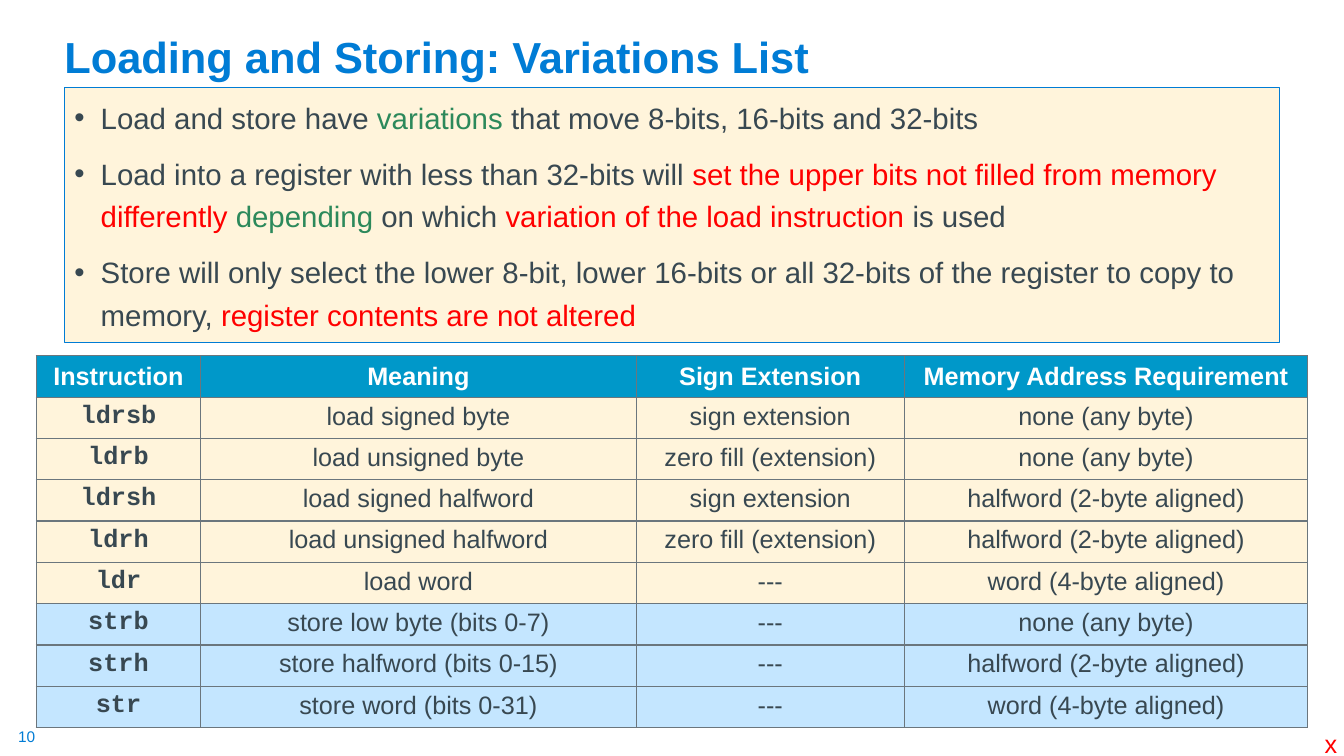
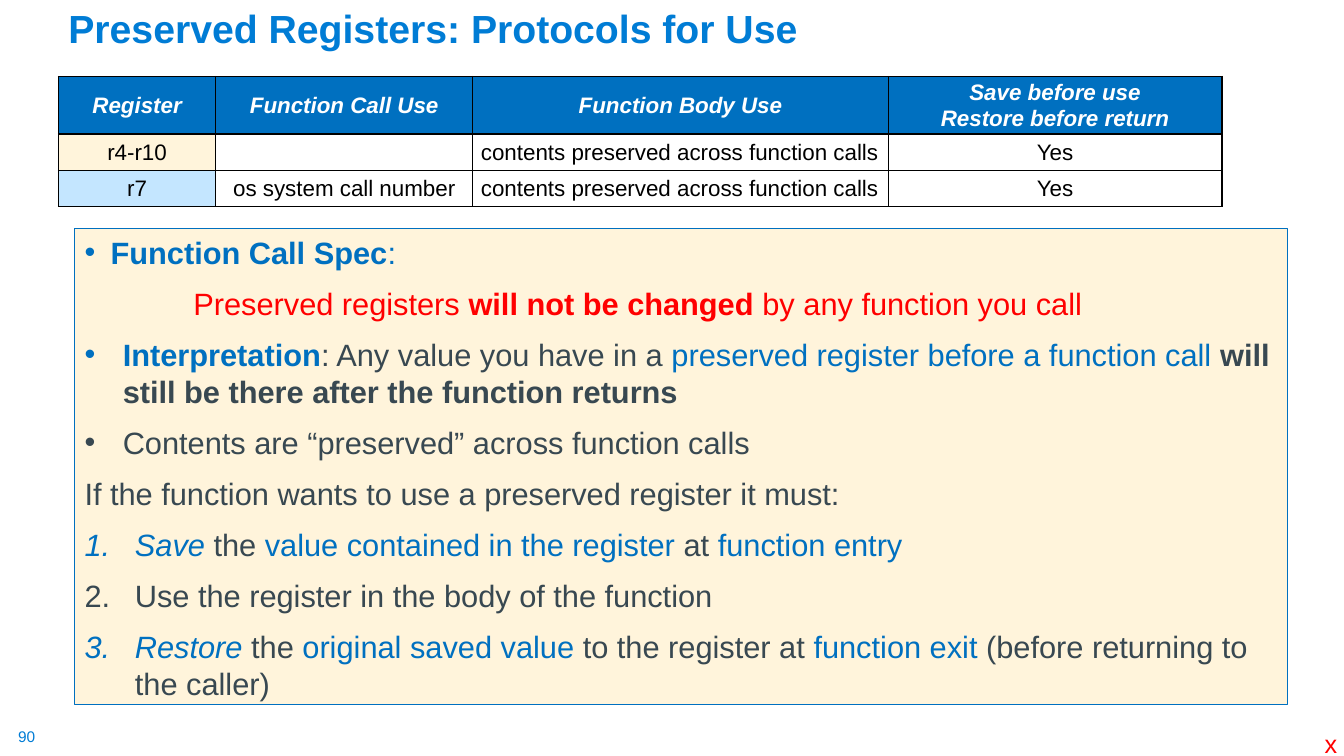
from lxml import etree
from pptx import Presentation
from pptx.dml.color import RGBColor
from pptx.enum import text as t
from pptx.oxml import ns
from pptx.util import Inches, Pt

TITLE_BLUE = RGBColor(0x00, 0x7C, 0xD5)
BLUE = RGBColor(0x00, 0x70, 0xC0)
TEAL = RGBColor(0x00, 0x98, 0xC9)
CREAM = RGBColor(0xFF, 0xF4, 0xDB)
SKY = RGBColor(0xC4, 0xE6, 0xFF)
SLATE = RGBColor(0x38, 0x48, 0x51)
GREY = RGBColor(0x6B, 0x76, 0x7D)
GREEN = RGBColor(0x2C, 0x89, 0x5B)
RED = RGBColor(0xFF, 0x00, 0x00)
WHITE = RGBColor(0xFF, 0xFF, 0xFF)
BLACK = RGBColor(0x00, 0x00, 0x00)
SANS, MONO = "Arial", "Courier New"
CENTER, LEFT = t.PP_ALIGN.CENTER, t.PP_ALIGN.LEFT

# Paragraph kinds: left margin, hanging indent, bullet tag, bullet attributes
DOT = ("a:buChar", {"char": "•"})
NUMBER = ("a:buAutoNum", {"type": "arabicPeriod"})
KINDS = {
    "bullet": (0.26, 0.26, DOT),
    "wide bullet": (0.38, 0.38, DOT),
    "number": (0.5, 0.5, NUMBER),
    "statement": (1.08, 0, None),
    "plain": (0, 0, None),
}

VARIATIONS = [
    ("bullet", [("Load and store have ", SLATE), ("variations", GREEN),
                (" that move 8-bits, 16-bits and 32-bits", SLATE)]),
    ("bullet", [("Load into a register with less than 32-bits will ", SLATE),
                ("set the upper bits not filled from memory differently", RED),
                (" depending ", GREEN), ("on which ", SLATE),
                ("variation of the load instruction ", RED), ("is used", SLATE)]),
    ("bullet", [("Store will only select the lower 8-bit, lower 16-bits or all 32-bits "
                 "of the register to copy to memory, ", SLATE),
                ("register contents are not altered", RED)]),
]

INSTRUCTIONS = [
    ("Instruction", "Meaning", "Sign Extension", "Memory Address Requirement"),
    ("ldrsb", "load signed byte", "sign extension", "none (any byte)"),
    ("ldrb", "load unsigned byte", "zero fill (extension)", "none (any byte)"),
    ("ldrsh", "load signed halfword", "sign extension", "halfword (2-byte aligned)"),
    ("ldrh", "load unsigned halfword", "zero fill (extension)", "halfword (2-byte aligned)"),
    ("ldr", "load word", "---", "word (4-byte aligned)"),
    ("strb", "store low byte (bits 0-7)", "---", "none (any byte)"),
    ("strh", "store halfword (bits 0-15)", "---", "halfword (2-byte aligned)"),
    ("str", "store word (bits 0-31)", "---", "word (4-byte aligned)"),
]

PROTOCOL = [
    ("bullet", [("Function Call Spec", BLUE, "b"), (":", BLUE)]),
    ("statement", [("Preserved registers ", RED), ("will not be changed ", RED, "b"),
                   ("by any function you call", RED)]),
    ("wide bullet", [("Interpretation", BLUE, "b"), (": Any value you have in a ", SLATE),
                     ("preserved register before a function call ", BLUE),
                     ("will still be there after the function returns", SLATE, "b")]),
    ("wide bullet", [("Contents are “preserved” across function calls", SLATE)]),
    ("plain", [("If the function wants to use a preserved register it must:", SLATE)]),
    ("number", [("Save", BLUE, "i"), (" the ", SLATE),
                ("value contained in the register ", BLUE), ("at ", SLATE),
                ("function entry", BLUE)]),
    ("number", [("Use the register in the body of the function", SLATE)]),
    ("number", [("Restore", BLUE, "i"), (" the ", SLATE), ("original saved value ", BLUE),
                ("to the register at ", SLATE), ("function exit ", BLUE),
                ("(before returning to the caller)", SLATE)]),
]

REGISTERS = [
    ("Register", "Function Call Use", "Function Body Use",
     "Save before use\nRestore before return"),
    ("r4-r10", "", "contents preserved across function calls", "Yes"),
    ("r7", "os system call number", "contents preserved across function calls", "Yes"),
]


def style_run(run, size, color, marks="", font=SANS):
    run.font.name = font
    run.font.size = Pt(size)
    run.font.color.rgb = color
    run.font.bold = "b" in marks
    run.font.italic = "i" in marks


def add_text(slide, place, text, size, color, marks="", wrap=False, inset=None):
    box = slide.shapes.add_textbox(*map(Inches, place))
    frame = box.text_frame
    frame.text = text
    frame.word_wrap = wrap
    if inset is not None:
        frame.margin_left = frame.margin_right = Inches(inset)
        frame.margin_top = frame.margin_bottom = Inches(inset)
    style_run(frame.paragraphs[0].runs[0], size, color, marks)
    return frame


def add_page(deck, number, title, title_place, title_size):
    """Add a slide with its title, page number and corner mark."""
    slide = deck.slides.add_slide(deck.slide_layouts[6])
    frame = add_text(slide, title_place, title, title_size, TITLE_BLUE, "b", wrap=True)
    frame.vertical_anchor = t.MSO_ANCHOR.BOTTOM
    frame.paragraphs[0].line_spacing = 0.9
    add_text(slide, (0.18, 7.21, 0.19, 0.19), number, 11, TITLE_BLUE, inset=0)
    add_text(slide, (13.04, 7.18, 0.33, 0.4), "x", 18, RED)
    return slide


def set_kind(para, kind):
    margin, hanging, bullet = KINDS[kind]
    props = para._p.get_or_add_pPr()
    props.set("marL", str(Inches(margin)))
    props.set("indent", str(-Inches(hanging)))
    if bullet:
        tag, attributes = bullet
        etree.SubElement(props, ns.qn("a:buFont"), typeface=SANS)
        etree.SubElement(props, ns.qn(tag), attributes)


def add_panel(slide, place, content, size, spacing, outline):
    """Add the cream box of bulleted paragraphs."""
    panel = slide.shapes.add_textbox(*map(Inches, place))
    panel.fill.solid()
    panel.fill.fore_color.rgb = CREAM
    panel.line.color.rgb = outline
    panel.line.width = Pt(0.75)
    frame = panel.text_frame
    frame.word_wrap = True
    for index, (kind, spans) in enumerate(content):
        para = frame.add_paragraph() if index else frame.paragraphs[0]
        para.space_before = Pt(10)
        para.line_spacing = spacing
        set_kind(para, kind)
        for text, *look in spans:
            run = para.add_run()
            run.text = text
            style_run(run, size, *look)


def set_borders(cell, color):
    props = cell._tc.get_or_add_tcPr()
    for position, side in enumerate(("lnL", "lnR", "lnT", "lnB")):
        line = etree.Element(ns.qn("a:" + side), w=str(Pt(1)))
        fill = etree.SubElement(line, ns.qn("a:solidFill"))
        etree.SubElement(fill, ns.qn("a:srgbClr"), val=str(color))
        props.insert(position, line)


def set_cell(cell, text, fill, border, size, color, marks="", font=SANS,
             align=CENTER, spacing=1, anchor=t.MSO_ANCHOR.MIDDLE, insets=(0.1, 0.05)):
    cell.fill.solid()
    cell.fill.fore_color.rgb = fill
    set_borders(cell, border)
    cell.vertical_anchor = anchor
    cell.margin_left = cell.margin_right = Inches(insets[0])
    cell.margin_top = cell.margin_bottom = Inches(insets[1])
    cell.text_frame.text = text
    for para in cell.text_frame.paragraphs:
        para.alignment = align
        para.line_spacing = spacing
        for run in para.runs:
            style_run(run, size, color, marks, font)
        if not para.runs:
            end = para._p.get_or_add_endParaRPr()
            end.set("sz", str(size * 100))


def add_grid(slide, left, top, widths, heights, rows, cell_look):
    """Add a table; cell_look(row, column) gives the set_cell options."""
    table = slide.shapes.add_table(
        len(rows), len(widths), Inches(left), Inches(top),
        Inches(sum(widths)), Inches(sum(heights))).table
    for column, width in zip(table.columns, widths):
        column.width = Inches(width)
    for line, height in zip(table.rows, heights):
        line.height = Inches(height)
    for row, texts in enumerate(rows):
        for column, text in enumerate(texts):
            set_cell(table.cell(row, column), text, **cell_look(row, column))


def instruction_look(row, column):
    look = dict(border=GREY, size=18)
    if row == 0:
        return dict(look, fill=TEAL, color=WHITE, marks="b")
    look.update(color=SLATE, anchor=t.MSO_ANCHOR.TOP)
    look["fill"] = CREAM if INSTRUCTIONS[row][0].startswith("ld") else SKY
    if column == 0:
        look.update(font=MONO, marks="b")
    return look


def register_look(row, column):
    look = dict(border=BLACK, size=16, spacing=1.05)
    if row == 0:
        return dict(look, fill=BLUE, color=WHITE, marks="bi", insets=(0, 0))
    look.update(color=BLACK, insets=(0.08, 0.04))
    look["fill"] = (CREAM, SKY)[row - 1] if column == 0 else WHITE
    look["align"] = LEFT if column == 2 else CENTER
    return look


def main():
    deck = Presentation()
    deck.slide_width, deck.slide_height = Inches(13.33), Inches(7.5)

    page = add_page(deck, "10", "Loading and Storing: Variations List",
                    (0.54, 0.09, 11.5, 0.78), 31)
    add_panel(page, (0.64, 0.87, 12.05, 2.53), VARIATIONS, 21, 1.2, TITLE_BLUE)
    add_grid(page, 0.36, 3.53, (1.63, 4.32, 2.66, 4), [0.41] * len(INSTRUCTIONS),
             INSTRUCTIONS, instruction_look)

    page = add_page(deck, "90", "Preserved Registers: Protocols for Use",
                    (0.58, 0.07, 12.6, 0.49), 28)
    add_panel(page, (0.74, 2.27, 12.03, 4.72), PROTOCOL, 22, 1, BLUE)
    add_grid(page, 0.58, 0.76, (1.56, 2.55, 4.12, 3.31), (0.57, 0.36, 0.36),
             REGISTERS, register_look)

    deck.save("out.pptx")


if __name__ == "__main__":
    main()
